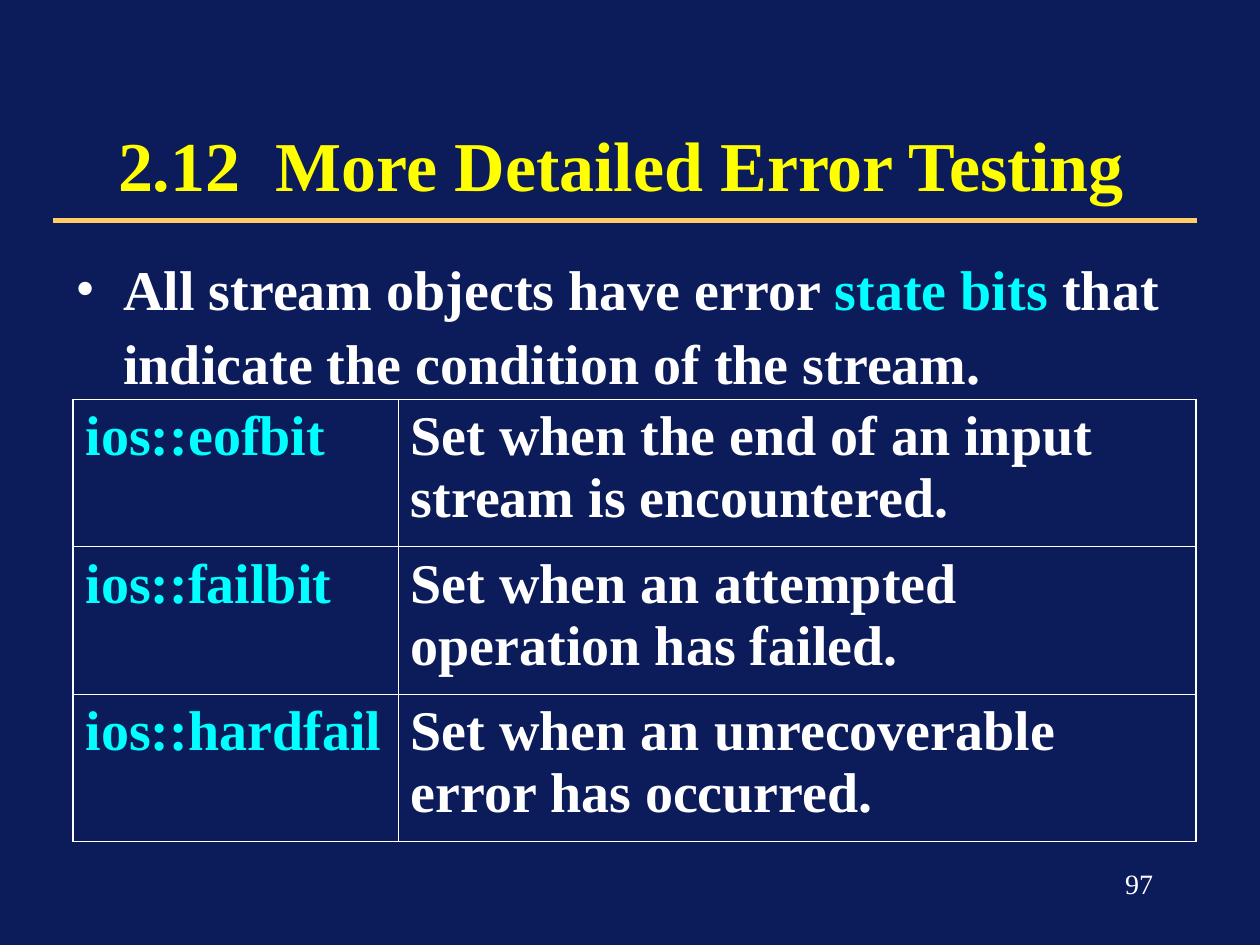
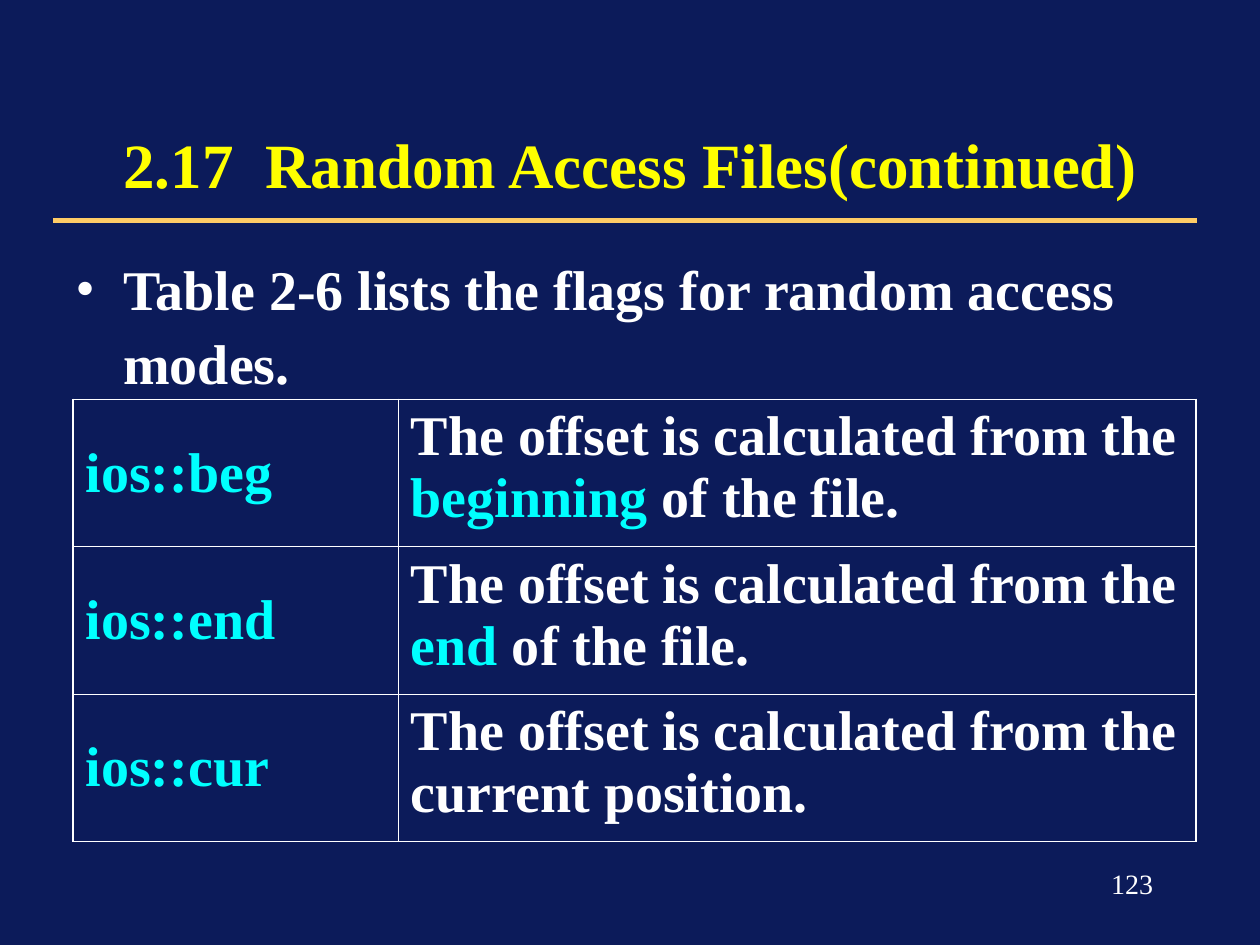
import pptx
import pptx.dml.color
import pptx.enum.shapes
import pptx.enum.text
import pptx.oxml
import pptx.oxml.ns
import pptx.util
from dataclasses import dataclass

Inches, Pt = pptx.util.Inches, pptx.util.Pt
Align, Anchor = pptx.enum.text.PP_ALIGN, pptx.enum.text.MSO_ANCHOR

# Words between asterisks take the highlight colour.
LESSONS = [
    {
        "number": "2.12", "title": "More Detailed Error Testing",
        "title_size": 40, "title_left": 0.68,
        "bullet": "All stream objects have error *state bits* that indicate the condition of the stream.",
        "flags": [
            ("*ios::eofbit*", "Set when the end of an input stream is encountered."),
            ("*ios::failbit*", "Set when an attempted operation has failed."),
            ("*ios::hardfail*", "Set when an unrecoverable error has occurred."),
        ],
        "flag_anchor": Anchor.TOP, "page_number": "97",
    },
    {
        "number": "2.17", "title": "Random Access Files(continued)",
        "title_size": 36, "title_left": 0.75,
        "bullet": "Table 2-6 lists the flags for random access modes.",
        "flags": [
            ("*ios::beg*", "The offset is calculated from the *beginning* of the file."),
            ("*ios::end*", "The offset is calculated from the *end* of the file."),
            ("*ios::cur*", "The offset is calculated from the current position."),
        ],
        "flag_anchor": Anchor.MIDDLE, "page_number": "123",
    },
]


@dataclass(frozen=True)
class Theme:
    font: str = "Times New Roman"
    background: str = "0C1B5A"
    title: str = "FFFF00"
    text: str = "FFFFFF"
    highlight: str = "00FFFF"
    rule: str = "FFCC66"
    text_size: int = 32
    number_size: int = 16
    rule_width: float = 3
    outer_border: float = 1.08
    inner_border: float = 0.45


THEME = Theme()
COLUMN_WIDTHS = (2.58, 6.33)
ROW_HEIGHT = 1.17


def color(value):
    return pptx.dml.color.RGBColor.from_string(value)


def set_values(target, values):
    for name, value in values.items():
        setattr(target, name, value)


def xml(markup):
    return pptx.oxml.parse_xml(markup.replace(" ", f" {pptx.oxml.ns.nsdecls('a')} ", 1))


def add_span(para, text, size, shade, bold=True):
    span = para.add_run()
    span.text = text
    set_values(span.font, {"name": THEME.font, "size": Pt(size), "bold": bold})
    span.font.color.rgb = color(shade)
    return span


def add_marked_text(para, text):
    for index, part in enumerate(text.split("*")):
        if part:
            add_span(para, part, THEME.text_size, THEME.highlight if index % 2 else THEME.text)


def add_box(page, left, top, width, height, anchor=Anchor.TOP, align=Align.LEFT):
    """Add a wrapping text box and return its first paragraph."""
    box = page.shapes.add_textbox(*map(Inches, (left, top, width, height)))
    set_values(box.text_frame, {"word_wrap": True, "vertical_anchor": anchor})
    para = box.text_frame.paragraphs[0]
    para.alignment = align
    return para


def add_rule(page):
    rule = page.shapes.add_connector(
        pptx.enum.shapes.MSO_CONNECTOR.STRAIGHT,
        Inches(0.42), Inches(1.75), Inches(9.5), Inches(1.75))
    rule.line.width = Pt(THEME.rule_width)
    rule.line.color.rgb = color(THEME.rule)
    rule._element.spPr.append(xml("<a:effectLst />"))


def add_title(page, lesson):
    para = add_box(page, lesson["title_left"], 0.67, 8.5, 1.25, Anchor.MIDDLE, Align.CENTER)
    size = lesson["title_size"]
    add_span(para, lesson["number"], size, THEME.title)
    gap = add_span(para, " ", size, THEME.title)
    gap._r.get_or_add_rPr().set("spc", str(size * 25))  # doubles the width of the space
    add_span(para, lesson["title"], size, THEME.title)


def add_bullet(page, text):
    para = add_box(page, 0.5, 1.92, 8.92, 1.25)
    properties = para._p.get_or_add_pPr()
    properties.set("marL", str(Inches(0.38)))
    properties.set("indent", str(-Inches(0.38)))
    for markup in (
        f'<a:buClr ><a:srgbClr val="{THEME.text}"/></a:buClr>',
        f'<a:buFont typeface="{THEME.font}"/>',
        '<a:buChar char="•"/>',
    ):
        properties.append(xml(markup))
    para.line_spacing = 1.1
    add_marked_text(para, text)


def set_borders(cell, outer_sides):
    for side in "LRTB":
        width = THEME.outer_border if outer_sides[side] else THEME.inner_border
        cell._tc.get_or_add_tcPr().append(xml(
            f'<a:ln{side} w="{Pt(width)}"><a:solidFill><a:srgbClr val="{THEME.text}"/>'
            f'</a:solidFill></a:ln{side}>'))


def add_flag_table(page, flags, flag_anchor):
    rows, columns = len(flags), len(COLUMN_WIDTHS)
    table = page.shapes.add_table(
        rows, columns, Inches(0.58), Inches(3.17),
        Inches(sum(COLUMN_WIDTHS)), Inches(rows * ROW_HEIGHT)).table
    set_values(table, {"first_row": False, "horz_banding": False})
    for column, width in zip(table.columns, COLUMN_WIDTHS):
        column.width = Inches(width)
    for r, texts in enumerate(flags):
        table.rows[r].height = Inches(ROW_HEIGHT)
        for c, text in enumerate(texts):
            cell = table.cell(r, c)
            set_borders(cell, {"L": c == 0, "R": c == columns - 1,
                               "T": r == 0, "B": r == rows - 1})
            cell.fill.background()
            cell.vertical_anchor = flag_anchor if c == 0 else Anchor.TOP
            add_marked_text(cell.text_frame.paragraphs[0], text)


def add_page_number(page, number):
    para = add_box(page, 7.17, 6.83, 2.08, 0.5, align=Align.RIGHT)
    add_span(para, number, THEME.number_size, THEME.text, bold=False)


def add_lesson(deck, lesson):
    page = deck.slides.add_slide(deck.slide_layouts[6])
    page.background.fill.solid()
    page.background.fill.fore_color.rgb = color(THEME.background)
    add_rule(page)
    add_title(page, lesson)
    add_bullet(page, lesson["bullet"])
    add_flag_table(page, lesson["flags"], lesson["flag_anchor"])
    add_page_number(page, lesson["page_number"])


def main():
    deck = pptx.Presentation()
    set_values(deck, {"slide_width": Inches(10), "slide_height": Inches(7.5)})
    for lesson in LESSONS:
        add_lesson(deck, lesson)
    deck.save("out.pptx")


if __name__ == "__main__":
    main()
